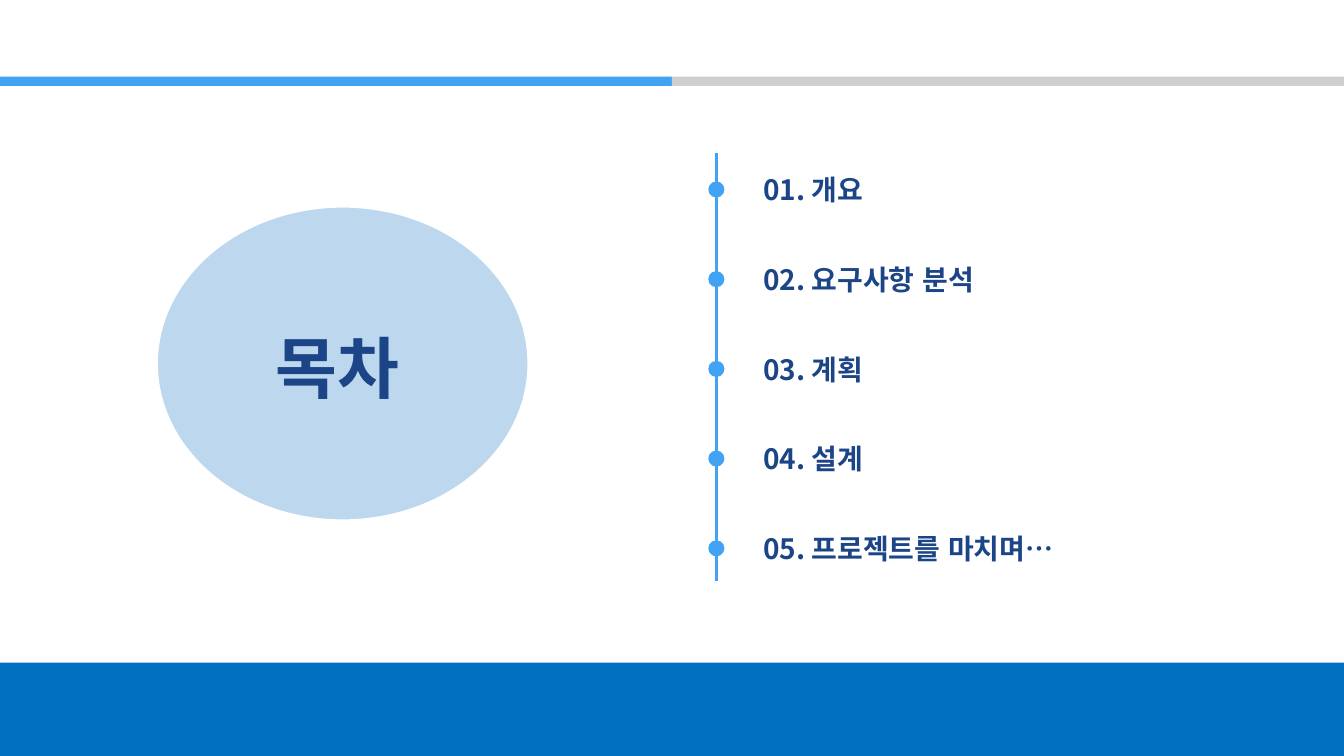
from lxml import etree
from pptx import Presentation, util as u
from pptx.dml.color import RGBColor
from pptx.enum import lang, shapes, text
from pptx.oxml import ns

WIDTH = u.Inches(10)
HEIGHT = WIDTH * 9 // 16
SKY = RGBColor(0x42, 0xA3, 0xF4)
PALE_BLUE = RGBColor(0xBD, 0xD7, 0xEE)
GREY = RGBColor(0xD0, 0xCE, 0xCE)
BLUE = RGBColor(0x00, 0x70, 0xC0)
NAVY = RGBColor(0x1C, 0x45, 0x87)
WHITE = RGBColor(0xFF, 0xFF, 0xFF)
FONT = "Noto Sans CJK KR"

TOPICS = ["개요", "요구사항 분석", "계획", "설계", "프로젝트를 마치며…"]
TIMELINE_X = 5.33
FIRST_ROW_Y = 1.41
LAST_ROW_Y = 4.08
ROW_PITCH = (LAST_ROW_Y - FIRST_ROW_Y) / (len(TOPICS) - 1)
DOT = 0.12
ENTRY_HEIGHT = 0.45


def add_filled(slide, kind, left, top, width, height, color, outline=None):
    shape = slide.shapes.add_shape(
        kind, u.Inches(left), u.Inches(top), u.Inches(width), u.Inches(height))
    shape.shadow.inherit = False
    shape.fill.solid()
    shape.fill.fore_color.rgb = color
    if outline is None:
        shape.line.fill.background()
    else:
        shape.line.color.rgb = outline
        shape.line.width = u.Pt(0.75)


def add_line(slide, start, end, color, width):
    line = slide.shapes.add_connector(
        shapes.MSO_CONNECTOR.STRAIGHT, *(u.Inches(v) for v in (*start, *end)))
    line.line.color.rgb = color
    line.line.width = u.Pt(width)
    etree.SubElement(line.element.spPr, ns.qn("a:effectLst"))


def write_text(holder, wording, size, color=NAVY, bold=True):
    frame = holder.text_frame
    frame.word_wrap = True
    frame.auto_size = text.MSO_AUTO_SIZE.NONE
    frame.vertical_anchor = text.MSO_ANCHOR.TOP
    frame.margin_left = frame.margin_right = u.Inches(0.1)
    frame.margin_top = frame.margin_bottom = u.Inches(0.1)
    paragraph = frame.paragraphs[0]
    paragraph.alignment = text.PP_ALIGN.LEFT
    paragraph.space_before = u.Pt(0)
    run = paragraph.add_run()
    run.text = wording
    run.font.size = u.Pt(size)
    run.font.bold = bold
    run.font.color.rgb = color
    run.font.name = FONT
    run.font.language_id = lang.MSO_LANGUAGE_ID.KOREAN
    etree.SubElement(run.font._element, ns.qn("a:ea"), typeface=FONT)


def add_bands(slide):
    rectangle = shapes.MSO_SHAPE.RECTANGLE
    add_filled(slide, rectangle, 0, 0.57, 5, 0.07, SKY)
    add_filled(slide, rectangle, 5, 0.57, 5, 0.07, GREY)
    add_filled(slide, rectangle, 0, 4.93, 10, 0.7, BLUE)


def add_heading(slide):
    add_filled(slide, shapes.MSO_SHAPE.OVAL, 1.17, 1.54, 2.76, 2.33,
               PALE_BLUE, outline=WHITE)
    title = slide.shapes.title
    title.left, title.top = u.Inches(1.95), u.Inches(2.33)
    title.width, title.height = u.Inches(1.21), u.Inches(0.81)
    write_text(title, "목차", size=36)
    title.element.getparent().append(title.element)


def add_contents(slide):
    add_line(slide, (TIMELINE_X, 1.14), (TIMELINE_X, 4.32), SKY, 1.5)
    for row, topic in enumerate(TOPICS):
        middle = FIRST_ROW_Y + row * ROW_PITCH
        add_filled(slide, shapes.MSO_SHAPE.OVAL, TIMELINE_X - DOT / 2,
                   middle - DOT / 2, DOT, DOT, SKY)
        entry = slide.shapes.add_textbox(
            u.Inches(5.58), u.Inches(middle - ENTRY_HEIGHT / 2),
            u.Inches(3.54 if row == len(TOPICS) - 1 else 2),
            u.Inches(ENTRY_HEIGHT))
        write_text(entry, f"{row + 1:02}. {topic}", size=15)


def main():
    deck = Presentation()
    deck.slide_width, deck.slide_height = WIDTH, HEIGHT
    slide = deck.slides.add_slide(deck.slide_layouts.get_by_name("Title Only"))
    add_bands(slide)
    add_heading(slide)
    add_contents(slide)
    deck.save("out.pptx")


if __name__ == "__main__":
    main()
